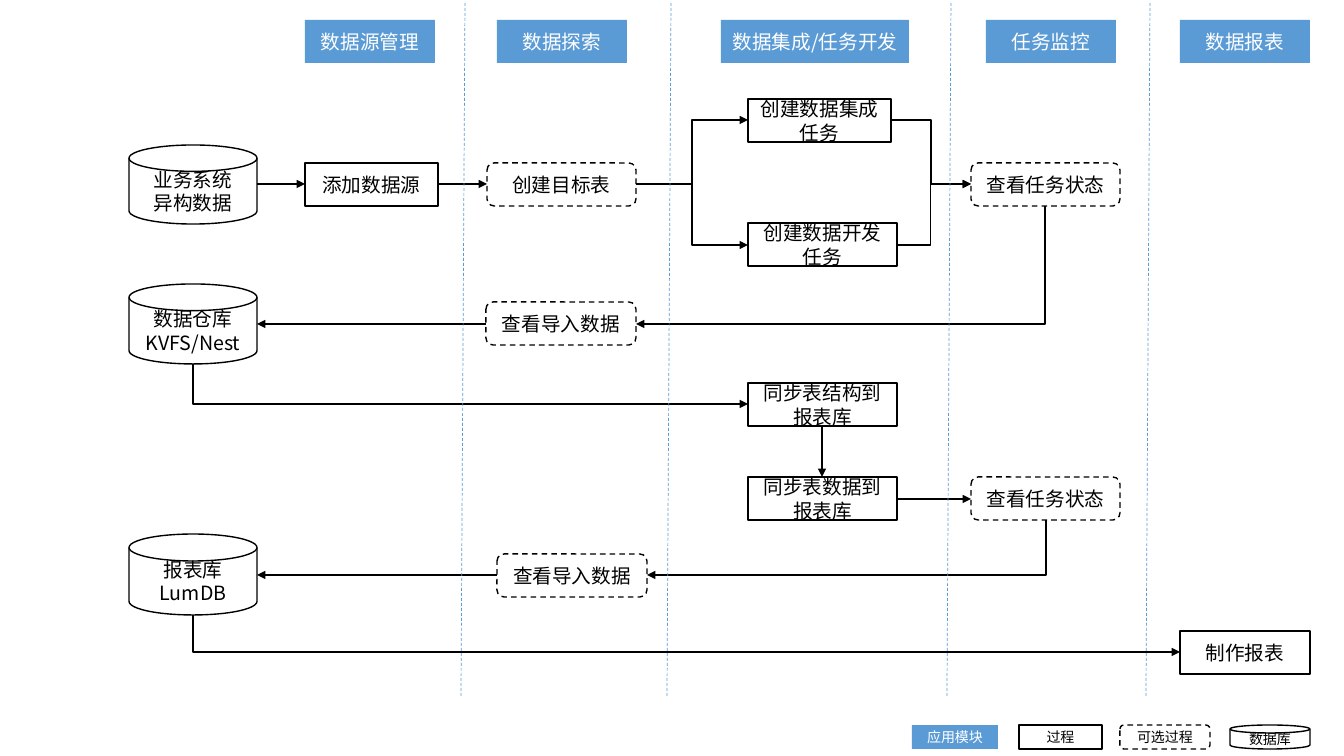
from dataclasses import dataclass
from typing import Optional

import pptx
import pptx.dml.color
import pptx.enum.dml
import pptx.enum.shapes
import pptx.enum.text
import pptx.oxml
import pptx.oxml.ns
import pptx.util

SCALE = 12192000 / 1344
FONT = "Noto Sans CJK SC"
COLORS = {"module": "5B9BD5", "ink": "000000", "light": "FFFFFF"}
KINDS = pptx.enum.shapes.MSO_SHAPE
LINKS = pptx.enum.shapes.MSO_CONNECTOR
DASH = pptx.enum.dml.MSO_LINE.DASH


@dataclass(frozen=True)
class Style:
    """Look of one kind of node."""
    preset: int
    fill: Optional[str] = None
    line: Optional[str] = "ink"
    dash: Optional[int] = None
    text: str = "ink"


@dataclass(frozen=True)
class Node:
    """A labelled box in pixels."""
    style: str
    label: str
    left: int
    top: int
    width: int
    height: int = 43
    size: int = 14


@dataclass(frozen=True)
class Flow:
    """An arrow between two points in pixels, with the share of its width before the bend."""
    x1: float
    y1: float
    x2: float
    y2: float
    bend: float = 0.5


STYLES = {
    "module": Style(KINDS.RECTANGLE, fill="module", line=None, text="light"),
    "process": Style(KINDS.RECTANGLE),
    "optional": Style(KINDS.FLOWCHART_ALTERNATE_PROCESS, dash=DASH),
    "database": Style(KINDS.FLOWCHART_MAGNETIC_DISK),
}

MODULES = [
    Node("module", label, left, 20, width)
    for label, left, width in [
        ("数据源管理", 305, 130), ("数据探索", 497, 130), ("数据集成/任务开发", 721, 188),
        ("任务监控", 986, 130), ("数据报表", 1180, 130),
    ]
]
STEPS = [
    Node("database", "业务系统\n异构数据", 129, 145, 128, 79),
    Node("database", "数据仓库\nKVFS/Nest", 129, 284, 128, 80),
    Node("database", "报表库\nLumDB", 129, 534, 128, 81),
    Node("process", "添加数据源", 305, 163, 133),
    Node("optional", "创建目标表", 487, 163, 149),
    Node("process", "创建数据集成任务", 748, 99, 143),
    Node("process", "创建数据开发任务", 748, 223, 149),
    Node("optional", "查看任务状态", 971, 163, 149),
    Node("optional", "查看导入数据", 486, 302, 150),
    Node("process", "同步表结构到报表库", 748, 383, 149),
    Node("process", "同步表数据到报表库", 748, 477, 149),
    Node("optional", "查看任务状态", 971, 477, 149),
    Node("optional", "查看导入数据", 497, 554, 150),
    Node("process", "制作报表", 1180, 631, 130),
]
LEGEND = [
    Node(style, label, left, 725, width, 24, 10)
    for style, label, left, width in [
        ("module", "应用模块", 912, 86), ("process", "过程", 1019, 83),
        ("optional", "可选过程", 1120, 90), ("database", "数据库", 1230, 80),
    ]
]
ELBOWS = [
    Flow(257, 184, 305, 184), Flow(438, 184, 487, 184),
    Flow(636, 184, 748, 120), Flow(636, 184, 748, 245),
    Flow(891, 120, 971, 184), Flow(897, 245, 971, 184, 0.45),
    Flow(486, 324, 257, 324), Flow(497, 575, 257, 575), Flow(897, 499, 971, 499),
]
CORNERS = [
    Flow(1045, 206, 636, 324), Flow(193, 364, 748, 404),
    Flow(1046, 520, 647, 575), Flow(193, 615, 1180, 652),
]
SYNC = Flow(822, 426, 822, 477)
LANE_EDGES = [465, 671, 951, 1150]


def px(value: float) -> int:
    """Turn pixels into EMU."""
    return round(value * SCALE)


def rgb(name: str) -> pptx.dml.color.RGBColor:
    """Look up a named colour."""
    return pptx.dml.color.RGBColor.from_string(COLORS[name])


def apply(target, values: dict) -> None:
    """Set attributes from a dict of format values."""
    for name, value in values.items():
        setattr(target, name, value)


def draw_node(shapes, node: Node) -> None:
    """Draw a box with its centred label."""
    style = STYLES[node.style]
    box = shapes.add_shape(style.preset, px(node.left), px(node.top), px(node.width), px(node.height))
    box.shadow.inherit = False
    if style.fill:
        box.fill.solid()
        box.fill.fore_color.rgb = rgb(style.fill)
    else:
        box.fill.background()
    if style.line:
        box.line.color.rgb = rgb(style.line)
        apply(box.line, {"width": pptx.util.Pt(1), "dash_style": style.dash})
    else:
        box.line.fill.background()
    frame = box.text_frame
    frame.text = node.label
    apply(frame, {"word_wrap": True, "vertical_anchor": pptx.enum.text.MSO_ANCHOR.MIDDLE})
    for paragraph in frame.paragraphs:
        paragraph.alignment = pptx.enum.text.PP_ALIGN.CENTER
        for run in paragraph.runs:
            apply(run.font, {"size": pptx.util.Pt(node.size), "name": FONT})
            run.font.color.rgb = rgb(style.text)
            east_asian = pptx.oxml.parse_xml(
                f'<a:ea {pptx.oxml.ns.nsdecls("a")} typeface="{FONT}"/>')
            run.font._element.append(east_asian)


def draw_line(shapes, kind: int, flow: Flow, color: str = "ink", width: float = 1,
              dash: Optional[int] = None, arrow: bool = True):
    """Draw a connector and return it."""
    link = shapes.add_connector(kind, px(flow.x1), px(flow.y1), px(flow.x2), px(flow.y2))
    link.line.color.rgb = rgb(color)
    apply(link.line, {"width": pptx.util.Pt(width), "dash_style": dash})
    namespace = pptx.oxml.ns.nsdecls("a")
    if arrow:
        link.line._get_or_add_ln().append(
            pptx.oxml.parse_xml(f'<a:tailEnd {namespace} type="triangle"/>'))
    link._element.spPr.append(pptx.oxml.parse_xml(f"<a:effectLst {namespace}/>"))
    return link


def draw_elbow(shapes, flow: Flow) -> None:
    """Draw an arrow that leaves and arrives horizontally."""
    link = draw_line(shapes, LINKS.ELBOW, flow)
    guides = link._element.spPr.prstGeom.get_or_add_avLst()
    guides.append(pptx.oxml.parse_xml(
        f'<a:gd {pptx.oxml.ns.nsdecls("a")} name="adj1" fmla="val {round(flow.bend * 100000)}"/>'))


def draw_corner(shapes, flow: Flow) -> None:
    """Draw an arrow that goes down, then sideways, as a turned one-bend connector."""
    middle_x, middle_y = (flow.x1 + flow.x2) / 2, (flow.y1 + flow.y2) / 2
    half_width, half_height = (flow.y2 - flow.y1) / 2, abs(flow.x2 - flow.x1) / 2
    rightward = flow.x2 > flow.x1
    side = 1 if rightward else -1
    turned = Flow(middle_x + side * half_width, middle_y - half_height,
                  middle_x - side * half_width, middle_y + half_height)
    link = draw_line(shapes, LINKS.ELBOW, turned)
    link._element.spPr.prstGeom.set("prst", "bentConnector2")
    link._element.spPr.xfrm.set("rot", str((270 if rightward else 90) * 60000))


def main() -> None:
    """Build the data flow slide."""
    deck = pptx.Presentation()
    apply(deck, {"slide_width": px(1344), "slide_height": px(756)})
    shapes = deck.slides.add_slide(deck.slide_layouts[6]).shapes
    for node in MODULES + STEPS:
        draw_node(shapes, node)
    for flow in ELBOWS:
        draw_elbow(shapes, flow)
    for flow in CORNERS:
        draw_corner(shapes, flow)
    draw_line(shapes, LINKS.STRAIGHT, SYNC)
    for edge in LANE_EDGES:
        draw_line(shapes, LINKS.STRAIGHT, Flow(edge, 3, edge - 4, 697), "module", 0.5, DASH, False)
    for node in LEGEND:
        draw_node(shapes, node)
    deck.save("out.pptx")


main()
